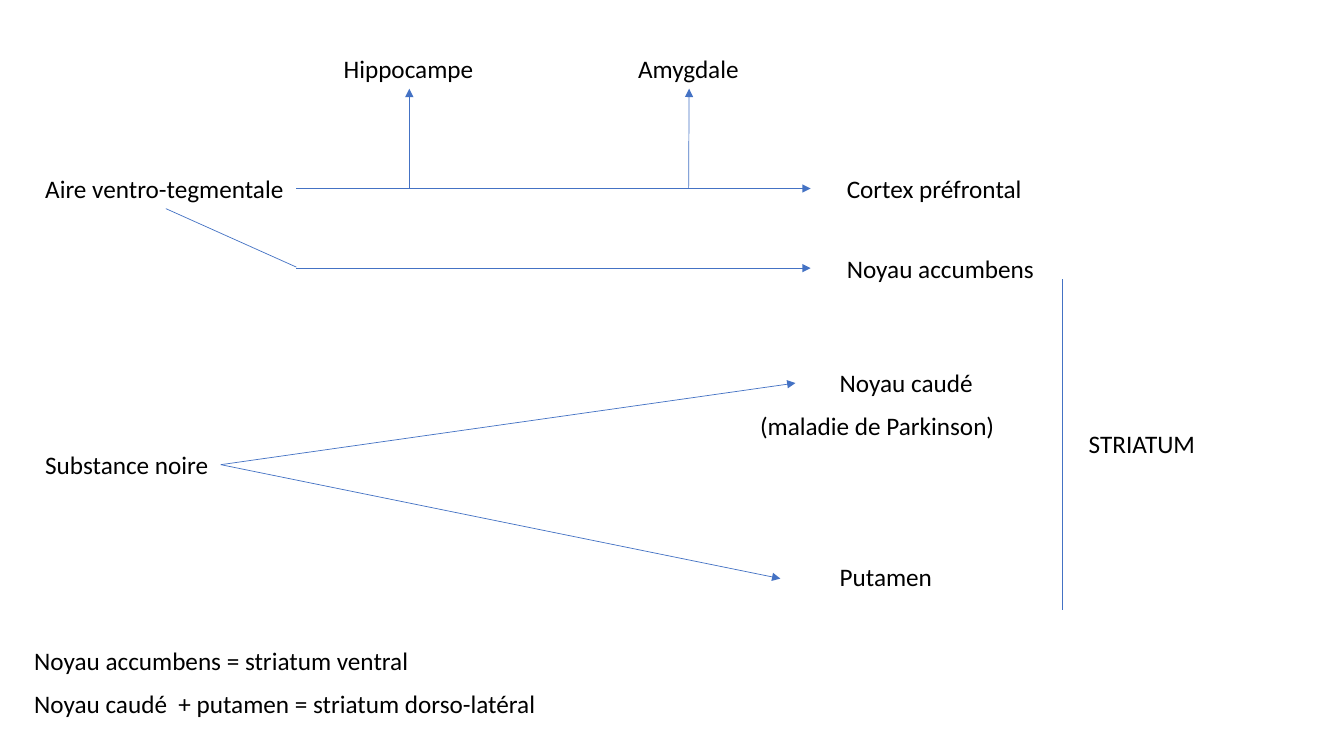
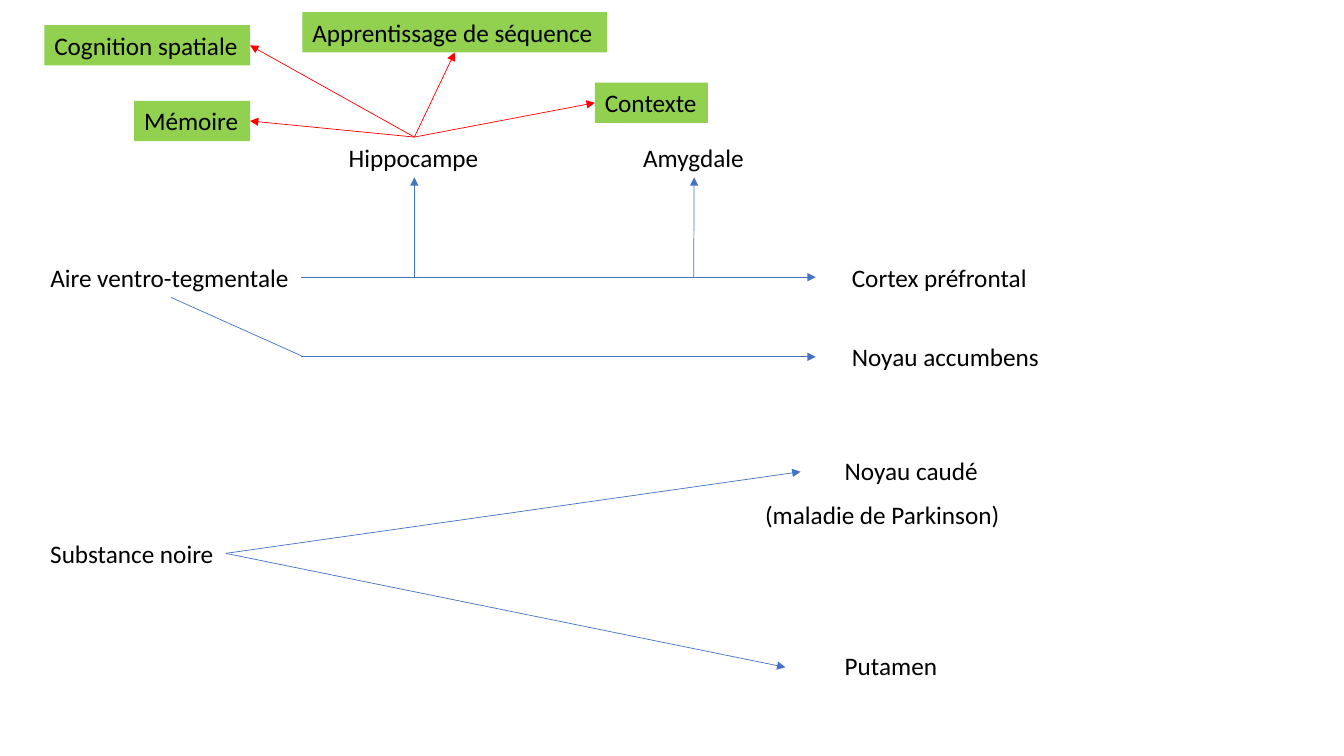
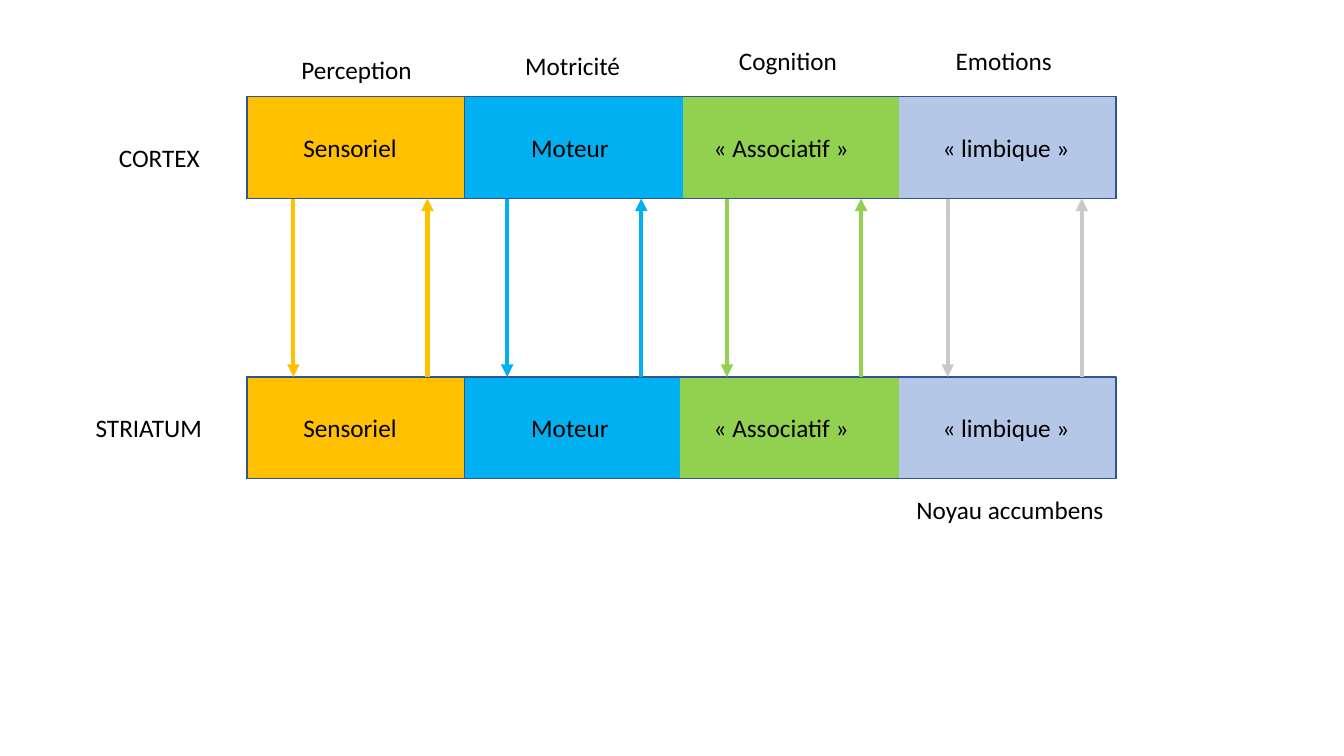
from lxml.etree import SubElement
from pptx import Presentation
from pptx.dml.color import RGBColor
from pptx.enum.shapes import MSO_CONNECTOR, MSO_SHAPE
from pptx.enum.text import MSO_AUTO_SIZE
from pptx.oxml.ns import qn
from pptx.util import Emu, Pt

EMU_PER_PX = 9144
LABEL_HEIGHT = 40
TOP, LEFT, BOTTOM, RIGHT = range(4)

BLACK = "000000"
BLUE = "4472C4"
RED = "FF0000"
GREEN = "92D050"
NAVY = "325491"
AMBER = "FFC000"
CYAN = "00B0F0"
PALE_BLUE = "B4C7E7"
GREY = "C9C9C9"

LABEL_FONT = {"name": "Calibri", "size": Pt(18)}
LABEL_FRAME = {"word_wrap": False, "auto_size": MSO_AUTO_SIZE.SHAPE_TO_FIT_TEXT}

PATHWAY_LABELS = [
    ("Aire ventro-tegmentale", 0, 119, 259),
    ("Cortex préfrontal", 795, 119, 195),
    ("Hippocampe", 296, 0, 150),
    ("Amygdale", 588, 0, 121),
    ("Noyau accumbens", 795, 198, 208),
    ("Substance noire", 0, 393, 184),
    ("Noyau caudé", 788, 311, 154),
    ("Putamen", 788, 504, 113),
    ("(maladie de Parkinson)", 709, 354, 255),
]
STRIATUM_LABELS = [
    ("STRIATUM", 1070, 420, 126),
    ("Noyau accumbens = striatum ventral", 24, 635, 396),
    ("Noyau caudé  + putamen = striatum dorso-latéral", 24, 678, 523),
]
HIPPOCAMPUS_ROLES = [
    ("Mémoire", 133, 100, 115, RIGHT),
    ("Cognition spatiale", 44, 25, 204, RIGHT),
    ("Apprentissage de séquence", 300, 12, 302, BOTTOM),
    ("Contexte", 590, 82, 112, LEFT),
]

ROW_WIDTH, ROW_HEIGHT, CELL_WIDTH = 862, 101, 216
CELLS = {
    "Sensoriel": (0, AMBER, NAVY, 46, 114),
    "Moteur": (216, CYAN, CYAN, 272, 98),
    "« Associatif »": (430, GREEN, GREEN, 453, 155),
    "« limbique »": (646, PALE_BLUE, GREEN, 680, 148),
}
CORTEX_ORDER = ["« limbique »", "« Associatif »", "Moteur", "Sensoriel"]
STRIATUM_ORDER = ["Moteur", "« limbique »", "« Associatif »", "Sensoriel"]
LOOPS = [(46, AMBER), (258, CYAN), (476, GREEN), (695, GREY)]
RETURN_GAP = 133
LOOP_LABELS = [
    ("Perception", 289, 49, 131),
    ("Motricité", 511, 45, 115),
    ("Cognition", 723, 40, 119),
    ("Emotions", 938, 40, 117),
    ("CORTEX", 108, 136, 101),
    ("STRIATUM", 85, 404, 126),
    ("Noyau accumbens", 899, 485, 208),
]


def px(*lengths):
    return [Emu(length * EMU_PER_PX) for length in lengths]


def color(value):
    return RGBColor.from_string(value)


def apply_format(target, values):
    for name, value in values.items():
        setattr(target, name, value)


def paint(shape, fill):
    shape.fill.solid()
    shape.fill.fore_color.rgb = color(fill)


def add_label(slide, text, left, top, width, fill=None):
    label = slide.shapes.add_textbox(*px(left, top, width, LABEL_HEIGHT))
    apply_format(label.text_frame, LABEL_FRAME)
    paragraph = label.text_frame.paragraphs[0]
    paragraph.text = text
    font = paragraph.runs[0].font
    apply_format(font, LABEL_FONT)
    font.color.rgb = color(BLACK)
    if fill:
        paint(label, fill)
    return label


def add_labels(slide, labels, left=0, top=0):
    return {
        text: add_label(slide, text, left + x, top + y, width)
        for text, x, y, width in labels
    }


def add_line(slide, start, end, line_color=BLUE, width=0.5, arrow=True,
             source=None, target=None):
    connector = slide.shapes.add_connector(
        MSO_CONNECTOR.STRAIGHT, *px(*start, *end))
    if source:
        connector.begin_connect(*source)
    if target:
        connector.end_connect(*target)
    connector.line.color.rgb = color(line_color)
    connector.line.width = Pt(width)
    properties = connector._element.spPr
    if arrow:
        SubElement(properties.find(qn("a:ln")), qn("a:tailEnd"), type="triangle")
    SubElement(properties, qn("a:effectLst"))
    return connector


def add_rectangle(slide, left, top, width, fill, outline):
    rectangle = slide.shapes.add_shape(
        MSO_SHAPE.RECTANGLE, *px(left, top, width, ROW_HEIGHT))
    rectangle.shadow.inherit = False
    if fill:
        paint(rectangle, fill)
    else:
        rectangle.fill.background()
    rectangle.line.color.rgb = color(outline)
    rectangle.line.width = Pt(1)


def add_pathways(slide, left, top):
    labels = add_labels(slide, PATHWAY_LABELS, left, top)
    area = labels["Aire ventro-tegmentale"]
    nigra = labels["Substance noire"]

    def place(x, y):
        return left + x, top + y

    add_line(slide, place(259, 139), place(769, 139), source=(area, RIGHT))
    for name, x in (("Hippocampe", 371), ("Amygdale", 648)):
        add_line(slide, place(x, 139), place(x, 40), target=(labels[name], BOTTOM))
    add_line(slide, place(259, 218), place(769, 218))
    add_line(slide, place(130, 159), place(259, 217), arrow=False,
             source=(area, BOTTOM))
    for end in ((754, 332), (739, 526)):
        add_line(slide, place(184, 413), place(*end), source=(nigra, RIGHT))
    return labels


def add_roles(slide, hippocampus):
    for text, left, top, width, side in HIPPOCAMPUS_ROLES:
        role = add_label(slide, text, left, top, width, GREEN)
        add_line(slide, (412, 136), (left, top), RED,
                 source=(hippocampus, TOP), target=(role, side))


def add_region_row(slide, left, top, order):
    for name in order:
        x, fill, outline, _, _ = CELLS[name]
        add_rectangle(slide, left + x, top, CELL_WIDTH, fill, outline)
    add_rectangle(slide, left, top, ROW_WIDTH, None, NAVY)
    for name, (_, _, _, x, width) in CELLS.items():
        add_label(slide, name, left + x, top + 30, width)


def add_loops(slide, left, top, bottom):
    for x, loop_color in LOOPS:
        down, up = left + x, left + x + RETURN_GAP
        add_line(slide, (down, top), (down, bottom), loop_color, 3)
        add_line(slide, (up, bottom), (up, top), loop_color, 3)


def build_pathway_slide(slide):
    add_pathways(slide, 35, 48)
    add_line(slide, (1054, 277), (1054, 605), arrow=False)
    add_labels(slide, STRIATUM_LABELS)


def build_hippocampus_slide(slide):
    labels = add_pathways(slide, 40, 136)
    add_roles(slide, labels["Hippocampe"])


def build_loop_slide(slide):
    left, cortex_top, striatum_top = 245, 96, 374
    add_region_row(slide, left, cortex_top, CORTEX_ORDER)
    add_region_row(slide, left, striatum_top, STRIATUM_ORDER)
    add_loops(slide, left, cortex_top + ROW_HEIGHT, striatum_top)
    add_labels(slide, LOOP_LABELS)


def main():
    presentation = Presentation()
    presentation.slide_width, presentation.slide_height = px(1333, 750)
    blank = presentation.slide_layouts[6]
    for build in (build_pathway_slide, build_hippocampus_slide, build_loop_slide):
        build(presentation.slides.add_slide(blank))
    presentation.save("out.pptx")


if __name__ == "__main__":
    main()
